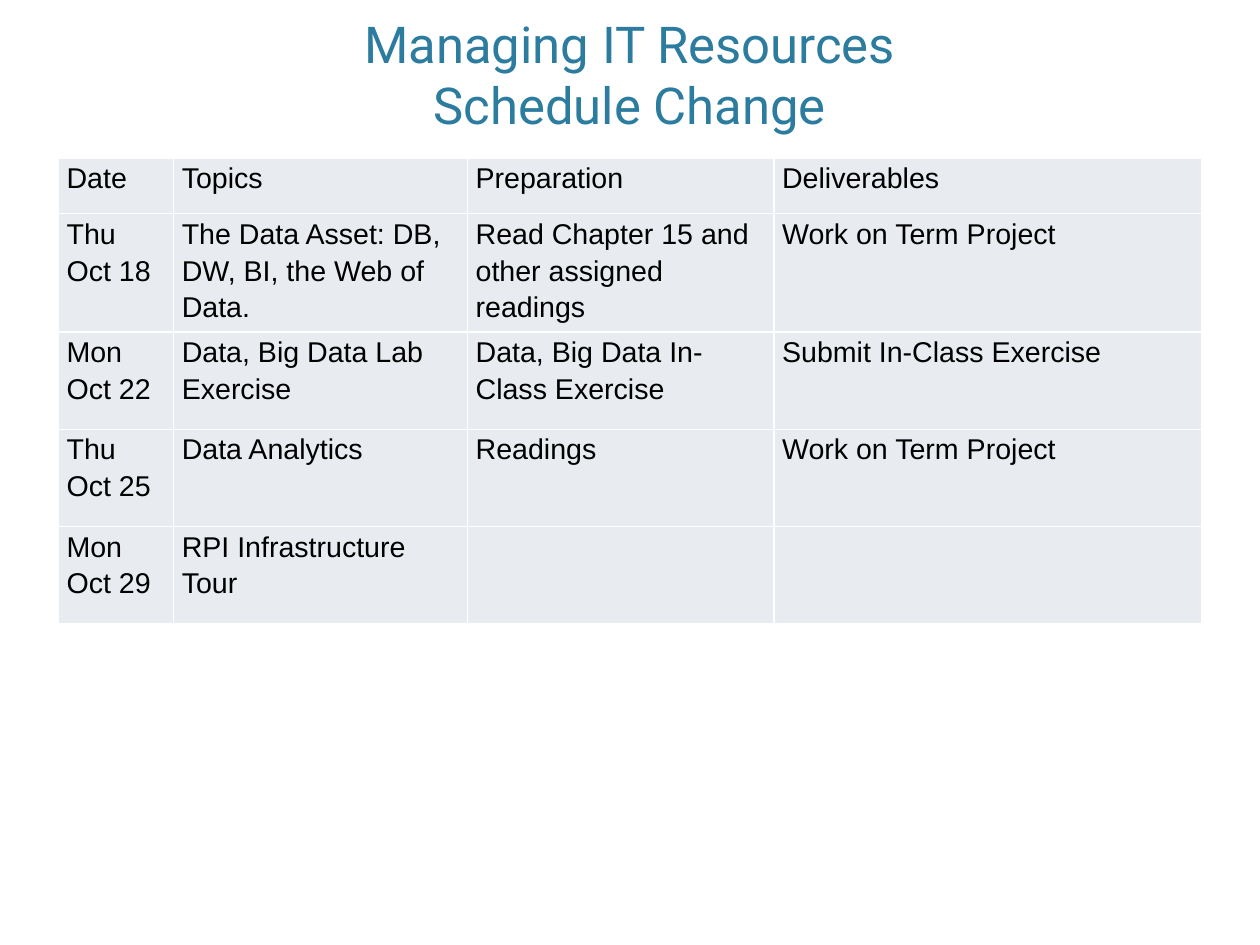
"""Build the schedule change slide for Managing IT Resources."""
from lxml.etree import SubElement
from pptx import Presentation
from pptx.dml.color import RGBColor
from pptx.enum.text import MSO_ANCHOR, PP_ALIGN
from pptx.oxml.ns import qn
from pptx.util import Cm, Pt

TITLE = "Managing IT Resources\vSchedule Change"
SCHEDULE = [
    ("Date", "Topics", "Preparation", "Deliverables"),
    ("Thu\nOct 18", "The Data Asset: DB, DW, BI, the Web of Data.",
     "Read Chapter 15 and other assigned readings", "Work on Term Project"),
    ("Mon\nOct 22", "Data, Big Data Lab Exercise",
     "Data, Big Data In-Class Exercise", "Submit In-Class Exercise"),
    ("Thu\nOct 25", "Data Analytics", "Readings", "Work on Term Project"),
    ("Mon\nOct 29", "RPI Infrastructure Tour", "", ""),
]
COLUMN_WIDTHS = (2.56, 6.53, 6.81, 9.5)
HEADER_HEIGHT, ROW_HEIGHT = 1.24, 2.16

TEAL = RGBColor(0x2C, 0x7C, 0x9F)
BLACK = RGBColor(0, 0, 0)
PALE = RGBColor(0xE8, 0xEC, 0xF0)
WHITE = RGBColor(0xFF, 0xFF, 0xFF)


def set_font(p, name, size, color):
    p.font.name, p.font.size = name, Pt(size)
    p.font.color.rgb = color


def add_borders(cell):
    tc_pr = cell._tc.get_or_add_tcPr()
    for side in ("lnL", "lnR", "lnT", "lnB"):
        ln = SubElement(tc_pr, qn(f"a:{side}"), w=str(Pt(1)))
        fill = SubElement(ln, qn("a:solidFill"))
        SubElement(fill, qn("a:srgbClr"), val=str(WHITE))


def add_title(slide):
    tf = slide.shapes.add_textbox(Cm(1.68), Cm(-0.94), Cm(24.64), Cm(4.09)).text_frame
    tf.word_wrap = True
    tf.vertical_anchor = MSO_ANCHOR.BOTTOM
    tf.margin_left = tf.margin_right = Cm(0.28)
    tf.margin_top = tf.margin_bottom = Cm(0.15)
    p = tf.paragraphs[0]
    p.text = TITLE
    p.alignment = PP_ALIGN.CENTER
    set_font(p, "Roboto", 32, TEAL)


def fill_cell(cell, text):
    add_borders(cell)
    cell.fill.solid()
    cell.fill.fore_color.rgb = PALE
    cell.margin_left = cell.margin_right = Cm(0.18)
    cell.margin_top = cell.margin_bottom = 0
    cell.text = text
    for p in cell.text_frame.paragraphs:
        p.line_spacing = 1.15
        set_font(p, "Arial", 18, BLACK)


def add_schedule(slide):
    heights = [HEADER_HEIGHT] + [ROW_HEIGHT] * (len(SCHEDULE) - 1)
    table = slide.shapes.add_table(
        len(SCHEDULE), len(COLUMN_WIDTHS), Cm(1.3), Cm(3.51),
        Cm(sum(COLUMN_WIDTHS)), Cm(sum(heights))).table
    table.first_row = table.horz_banding = False
    for column, width in zip(table.columns, COLUMN_WIDTHS):
        column.width = Cm(width)
    for row, height, texts in zip(table.rows, heights, SCHEDULE):
        row.height = Cm(height)
        for cell, text in zip(row.cells, texts):
            fill_cell(cell, text)


def main():
    prs = Presentation()
    prs.slide_width, prs.slide_height = Cm(28), Cm(21)
    slide = prs.slides.add_slide(prs.slide_layouts[6])
    add_title(slide)
    add_schedule(slide)
    prs.save("out.pptx")


if __name__ == "__main__":
    main()
